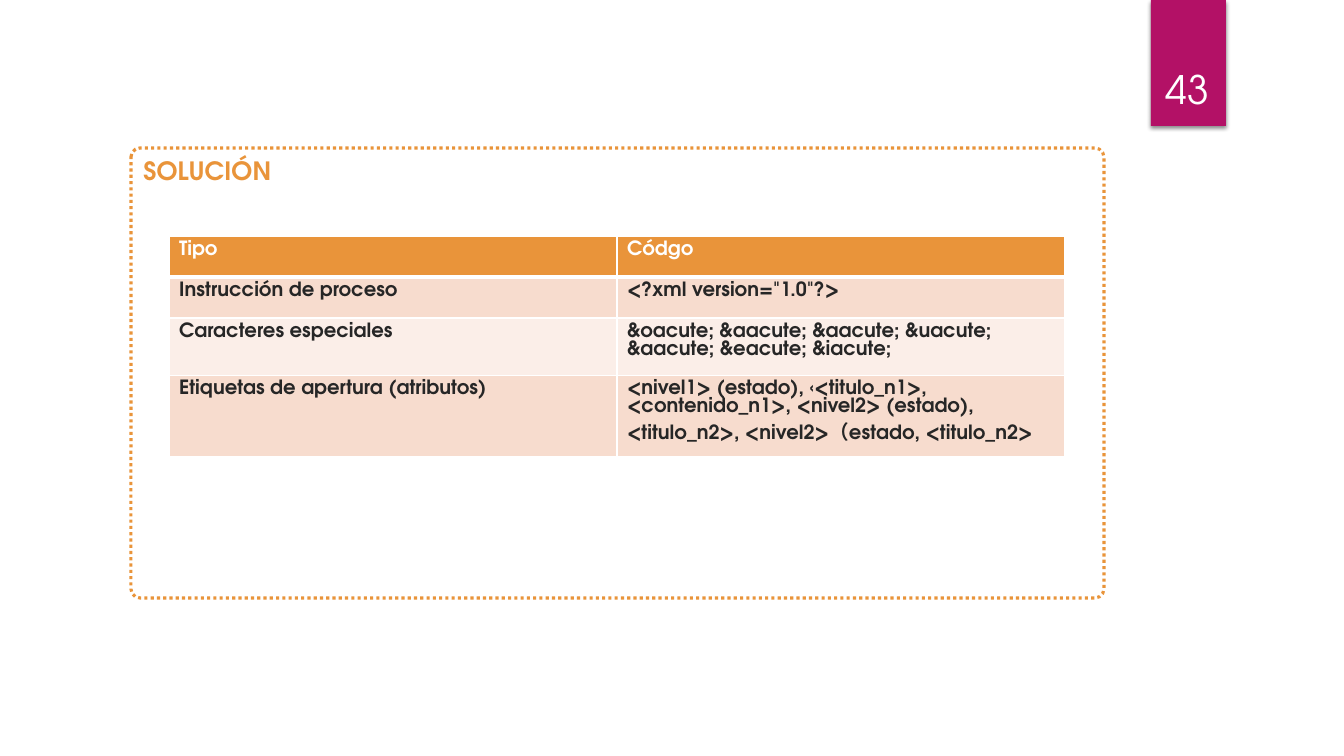
from lxml import etree
from pptx import Presentation
from pptx.dml.color import RGBColor
from pptx.enum.dml import MSO_LINE
from pptx.enum.shapes import MSO_SHAPE
from pptx.enum.text import MSO_ANCHOR as Anchor, PP_ALIGN as Align
from pptx.oxml import parse_xml
from pptx.oxml.ns import nsdecls, qn
from pptx.util import Pt

FONT = "TeX Gyre Adventor"
ORANGE, MAGENTA, WHITE, DARK = "E9943A", "B31166", "FFFFFF", "262626"
BANDS = ["F7DCCE", "FBEEE8"]

PAGE_NUMBER = "43"
HEADING = "SOLUCIÓN"
ROWS = [
    (["Tipo"], ["Códgo"]),
    (["Instrucción de proceso"], ['<?xml version="1.0"?>']),
    (["Caracteres especiales"],
     ["&oacute; &aacute; &aacute; &uacute;", "&aacute; &eacute; &iacute;"]),
    (["Etiquetas de apertura (atributos)"],
     ["<nivel1> (estado), ‹<titulo_n1>, <contenido_n1>, <nivel2> (estado), "
      "<titulo_n2>, <nivel2>（estado, <titulo_n2>"]),
]

SLIDE_SIZE = (1344, 756)
BADGE = (1151, 0, 75, 126)
NUMBER_BOX = (1141, 32, 93, 85)
PANEL = (131, 148, 973, 450)
TABLE_LEFT, TABLE_TOP, COLUMN_WIDTH = 169, 236, 448
ROW_HEIGHTS = [41, 41, 57, 81]


def px(*lengths):
    """Turn pixel lengths into EMU."""
    return [round(length * 914400 / 100.8) for length in lengths]


def color(hex_code):
    """Return the colour of a hex string."""
    return RGBColor.from_string(hex_code)


def write(frame, lines, size, hex_code, bold=False, align=Align.LEFT):
    """Write each line as a paragraph with one run."""
    frame.word_wrap = True
    for index, line in enumerate(lines):
        paragraph = frame.add_paragraph() if index else frame.paragraphs[0]
        paragraph.alignment = align
        run = paragraph.add_run()
        run.text = line
        run.font.name = FONT
        run.font.size = Pt(size)
        run.font.bold = bold
        run.font.color.rgb = color(hex_code)


def add_badge(slide):
    """Draw the shadowed page number badge."""
    badge = slide.shapes.add_shape(MSO_SHAPE.RECTANGLE, *px(*BADGE))
    badge.fill.solid()
    badge.fill.fore_color.rgb = color(MAGENTA)
    badge.line.fill.background()
    badge._element.spPr.append(parse_xml(
        f'<a:effectLst {nsdecls("a")}><a:outerShdw blurRad="{Pt(3)}" dist="{Pt(2)}" '
        'dir="5400000" rotWithShape="0"><a:srgbClr val="000000">'
        '<a:alpha val="45000"/></a:srgbClr></a:outerShdw></a:effectLst>'))
    number_box = slide.shapes.add_textbox(*px(*NUMBER_BOX))
    number_box.text_frame.vertical_anchor = Anchor.BOTTOM
    write(number_box.text_frame, [PAGE_NUMBER], 28, WHITE, align=Align.CENTER)


def add_panel(slide):
    """Draw the dotted panel with its heading."""
    panel = slide.shapes.add_shape(MSO_SHAPE.ROUNDED_RECTANGLE, *px(*PANEL))
    panel.shadow.inherit = False
    panel.adjustments[0] = 0.02
    panel.fill.background()
    panel.line.color.rgb = color(ORANGE)
    panel.line.width = Pt(2.25)
    panel.line.dash_style = MSO_LINE.ROUND_DOT
    panel.text_frame.vertical_anchor = Anchor.TOP
    write(panel.text_frame, [HEADING], 18, ORANGE, bold=True)


def set_borders(cell, widths):
    """Give a cell white borders of the widths for each side."""
    properties = cell._tc.get_or_add_tcPr()
    for side, width in widths.items():
        line = etree.SubElement(properties, qn(f"a:ln{side}"), w=str(Pt(width)))
        fill = etree.SubElement(line, qn("a:solidFill"))
        etree.SubElement(fill, qn("a:srgbClr"), val=WHITE)


def add_code_table(slide):
    """Draw the table of types and code."""
    frame = slide.shapes.add_table(
        len(ROWS), len(ROWS[0]),
        *px(TABLE_LEFT, TABLE_TOP, COLUMN_WIDTH * len(ROWS[0]), sum(ROW_HEIGHTS)))
    table = frame.table
    for column in table.columns:
        column.width = px(COLUMN_WIDTH)[0]
    for row_index, (row, height) in enumerate(zip(ROWS, ROW_HEIGHTS)):
        table.rows[row_index].height = px(height)[0]
        header = row_index == 0
        for column_index, lines in enumerate(row):
            cell = table.cell(row_index, column_index)
            set_borders(cell, {"L": 1, "R": 1, "T": 3 if row_index == 1 else 1,
                               "B": 3 if header else 1})
            cell.fill.solid()
            cell.fill.fore_color.rgb = color(
                ORANGE if header else BANDS[(row_index - 1) % 2])
            write(cell.text_frame, lines, 14, WHITE if header else DARK, bold=True)


def main():
    """Build and save the slide."""
    presentation = Presentation()
    presentation.slide_width, presentation.slide_height = px(*SLIDE_SIZE)
    slide = presentation.slides.add_slide(presentation.slide_layouts[6])
    add_badge(slide)
    add_panel(slide)
    add_code_table(slide)
    presentation.save("out.pptx")


if __name__ == "__main__":
    main()
